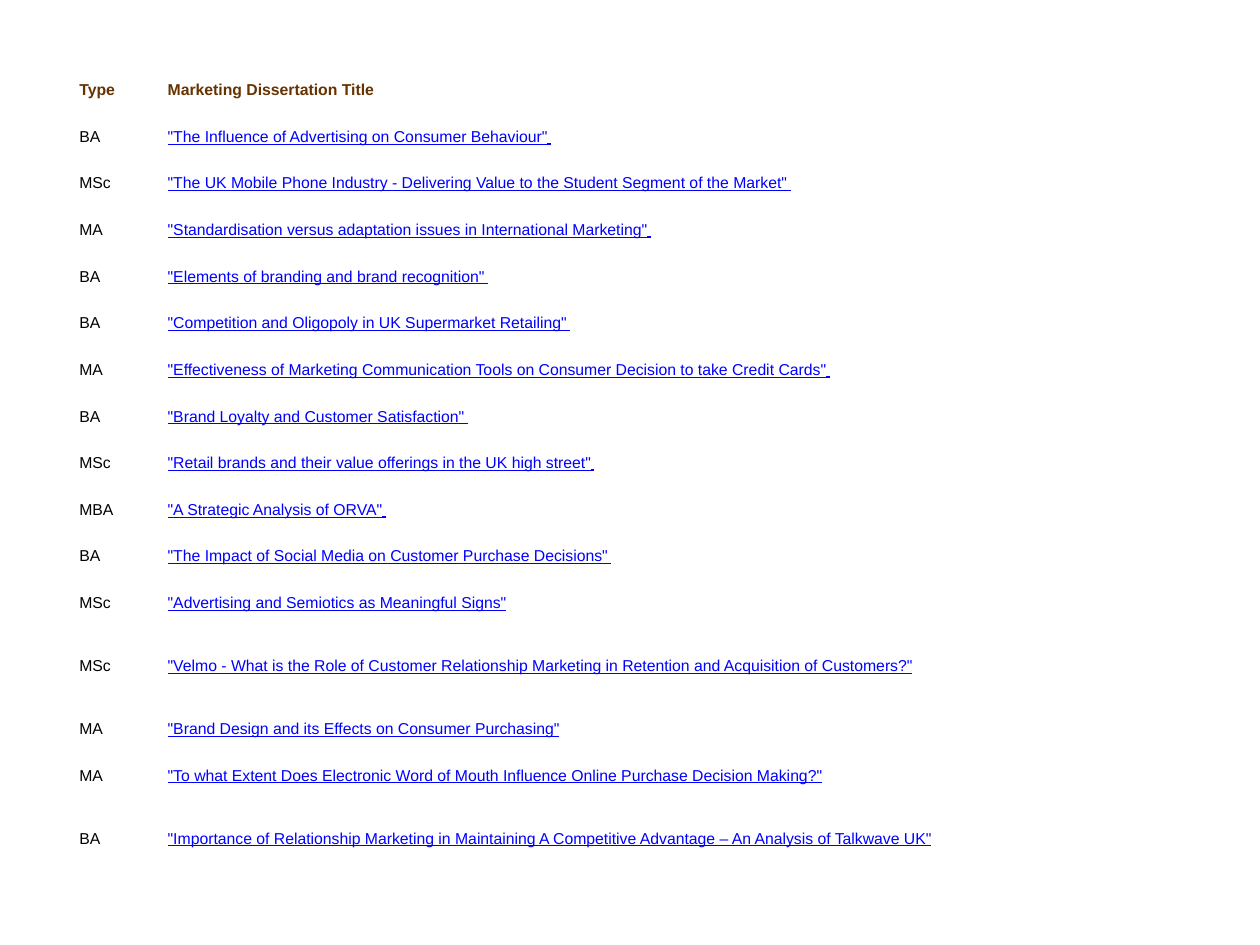
from pptx import Presentation
from pptx.dml.color import RGBColor
from pptx.enum.text import MSO_ANCHOR
from pptx.util import Cm, Pt

BROWN = RGBColor(0x66, 0x33, 0x00)
BLACK = RGBColor(0x00, 0x00, 0x00)
BLUE = RGBColor(0x00, 0x00, 0xFF)

HEAD = {"bold": True, "color": BROWN}
PLAIN = {"bold": False, "color": BLACK}
LINK = {"bold": False, "color": BLUE, "underline": True}

CELL = {"vertical_anchor": MSO_ANCHOR.MIDDLE, "margin_left": Cm(0.1),
        "margin_right": Cm(0.1), "margin_top": Cm(0.1),
        "margin_bottom": Cm(0.1)}
PARA = {"line_spacing": 1.15, "space_after": Pt(10)}

TITLES = [
    ("BA", '"The Influence of Advertising on Consumer Behaviour"'),
    ("MSc", '"The UK Mobile Phone Industry - Delivering Value to the Student '
            'Segment of the Market"'),
    ("MA", '"Standardisation versus adaptation issues in International '
           'Marketing"'),
    ("BA", '"Elements of branding and brand recognition"'),
    ("BA", '"Competition and Oligopoly in UK Supermarket Retailing"'),
    ("MA", '"Effectiveness of Marketing Communication Tools on Consumer '
           'Decision to take Credit Cards"'),
    ("BA", '"Brand Loyalty and Customer Satisfaction"'),
    ("MSc", '"Retail brands and their value offerings in the UK high street"'),
    ("MBA", '"A Strategic Analysis of ORVA"'),
    ("BA", '"The Impact of Social Media on Customer Purchase Decisions"'),
    ("MSc", '"Advertising and Semiotics as Meaningful Signs"'),
    ("MSc", '"Velmo - What is the Role of Customer Relationship Marketing in '
            'Retention and Acquisition of Customers?"'),
    ("MA", '"Brand Design and its Effects on Consumer Purchasing"'),
    ("MA", '"To what Extent Does Electronic Word of Mouth Influence Online '
           'Purchase Decision Making?"'),
    ("BA", '"Importance of Relationship Marketing in Maintaining A Competitive '
           'Advantage – An Analysis of Talkwave UK"'),
]
SPACED = range(1, 11)   # rows whose underline runs on under a final space
TALL = (12, 15)
ROW, TALL_ROW = Cm(0.94), Cm(1.6)
TYPE_WIDTH = Cm(1.78)


def apply(item, style):
    for name, value in style.items():
        setattr(item, name, value)


def add_run(para, text, style, face="Arial"):
    run = para.add_run()
    run.text = text
    rest = {name: value for name, value in style.items() if name != "color"}
    apply(run.font, {"name": face, "size": Pt(9), **rest})
    run.font.color.rgb = style["color"]


def fill_cell(cell, text, style):
    apply(cell, CELL)
    cell.fill.background()
    para = cell.text_frame.paragraphs[0]
    apply(para, PARA)
    add_run(para, text, style)
    return para


def add_list(slide, left, top, width, height):
    """Place the table of dissertation types and titles in the given box."""
    rows = [("Type", "Marketing Dissertation Title"), *TITLES]
    table = slide.shapes.add_table(len(rows), 2, left, top, width, height).table
    apply(table, {"first_row": False, "horz_banding": False})
    table.columns[0].width = TYPE_WIDTH
    table.columns[1].width = width - TYPE_WIDTH
    for i, (kind, title) in enumerate(rows):
        table.rows[i].height = TALL_ROW if i in TALL else ROW
        fill_cell(table.cell(i, 0), kind, PLAIN if i else HEAD)
        para = fill_cell(table.cell(i, 1), title, LINK if i else HEAD)
        if i in SPACED:
            add_run(para, " ", LINK, "Calibri")


def main():
    deck = Presentation()
    apply(deck, {"slide_width": Cm(25.4), "slide_height": Cm(19.05)})
    slide = deck.slides.add_slide(deck.slide_layouts[6])
    add_list(slide, Cm(1.5), Cm(1.32), Cm(22.81), Cm(16.4))
    deck.save("out.pptx")


if __name__ == "__main__":
    main()
